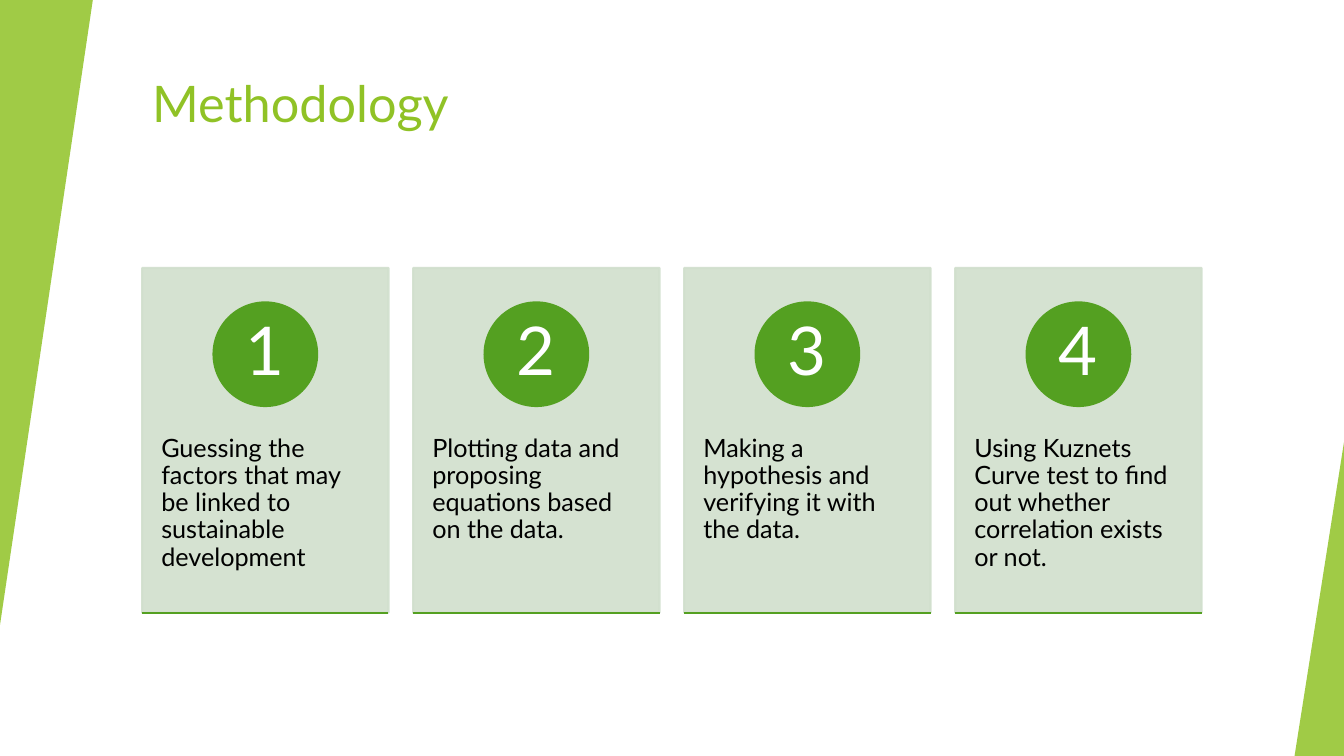
import pptx
import pptx.util
import pptx.dml.color
import pptx.enum.shapes
import pptx.enum.text
import pptx.oxml.ns
from dataclasses import dataclass
from lxml import etree

Pt = pptx.util.Pt
Color = pptx.dml.color.RGBColor.from_string
Shape = pptx.enum.shapes.MSO_SHAPE
Anchor = pptx.enum.text.MSO_ANCHOR
Align = pptx.enum.text.PP_ALIGN
qn = pptx.oxml.ns.qn


@dataclass
class Theme:
    font: str = "Lato"
    lime: str = "90C226"
    green: str = "54A021"
    pale: str = "D1DFCD"
    black: str = "000000"
    white: str = "FFFFFF"
    title_size: int = 36
    number_size: int = 48
    body_size: int = 18


theme = Theme()


def paint(shape, color, opacity=100, line_width=None):
    """Give a shape one colour for its fill and, if wanted, its line."""
    shape.shadow.inherit = False
    shape.fill.solid()
    shape.fill.fore_color.rgb = Color(color)
    if line_width is None:
        shape.line.fill.background()
    else:
        shape.line.color.rgb = Color(color)
        shape.line.width = Pt(line_width)
    if opacity < 100:
        for tint in shape._element.spPr.iter(qn("a:srgbClr")):
            etree.SubElement(tint, qn("a:alpha")).set("val", str(opacity * 1000))


def write(shape, text, size, color, margins, align=Align.LEFT, anchor=Anchor.TOP, spacing=0.9):
    """Fill a shape with one formatted paragraph."""
    frame = shape.text_frame
    frame.word_wrap = True
    frame.auto_size = pptx.enum.text.MSO_AUTO_SIZE.NONE
    frame.vertical_anchor = anchor
    frame.margin_left = frame.margin_right = Pt(margins[0])
    frame.margin_top = frame.margin_bottom = Pt(margins[1])
    para = frame.paragraphs[0]
    para.text = text
    para.alignment = align
    para.line_spacing = spacing
    para.font.name = theme.font
    para.font.size = Pt(size)
    para.font.color.rgb = Color(color)


deck = pptx.Presentation()
deck.slide_width, deck.slide_height = Pt(960), Pt(540)
page = deck.slides.add_slide(deck.slide_layouts[5])
page.background.fill.solid()
page.background.fill.fore_color.rgb = Color(theme.white)

# Slanted wedges at the left and right edges
wedges = [
    [(0, 0), (66.3, 0), (0, 446.4)],
    [(960, 316), (960, 540), (924.7, 540)],
]
for corners in wedges:
    outline = page.shapes.build_freeform(Pt(corners[0][0]), Pt(corners[0][1]))
    outline.add_line_segments([(Pt(x), Pt(y)) for x, y in corners[1:]], close=True)
    paint(outline.convert_to_shape(), theme.lime, opacity=85)

# Title
title = page.shapes.title
title.left, title.top, title.width, title.height = Pt(101.5), Pt(48), Pt(803), Pt(86.4)
write(title, "Methodology", theme.title_size, theme.lime, (7.2, 3.6), spacing=1.0)

# Numbered step cards
steps = [
    "Guessing the factors that may be linked to sustainable development",
    "Plotting data and proposing equations based on the data.",
    "Making a hypothesis and verifying it with the data.",
    "Using Kuznets Curve test to find out whether correlation exists or not.",
]
first_left, card_top, card_width, card_height = 101.5, 191.4, 176, 246.2
pitch = 193.6
circle_size = 74
card_bottom = card_top + card_height

for index, step in enumerate(steps):
    left = first_left + index * pitch

    card = page.shapes.add_shape(
        Shape.RECTANGLE, Pt(left), Pt(card_top), Pt(card_width), Pt(card_height))
    paint(card, theme.pale, opacity=90, line_width=1.5)

    body = page.shapes.add_textbox(Pt(left), Pt(285.1), Pt(card_width), Pt(147.7))
    write(body, step, theme.body_size, theme.black, (13.7, 25.9))

    circle = page.shapes.add_shape(
        Shape.OVAL, Pt(left + (card_width - circle_size) / 2), Pt(216),
        Pt(circle_size), Pt(circle_size))
    paint(circle, theme.green, line_width=1.5)
    write(circle, str(index + 1), theme.number_size, theme.white, (5.8, 0.7),
          Align.CENTER, Anchor.MIDDLE)

    rule = page.shapes.add_connector(
        pptx.enum.shapes.MSO_CONNECTOR.STRAIGHT,
        Pt(left), Pt(card_bottom), Pt(left + card_width), Pt(card_bottom))
    rule.line.color.rgb = Color(theme.green)
    rule.line.width = Pt(1.5)
    etree.SubElement(rule._element.spPr, qn("a:effectLst"))

deck.save("out.pptx")
